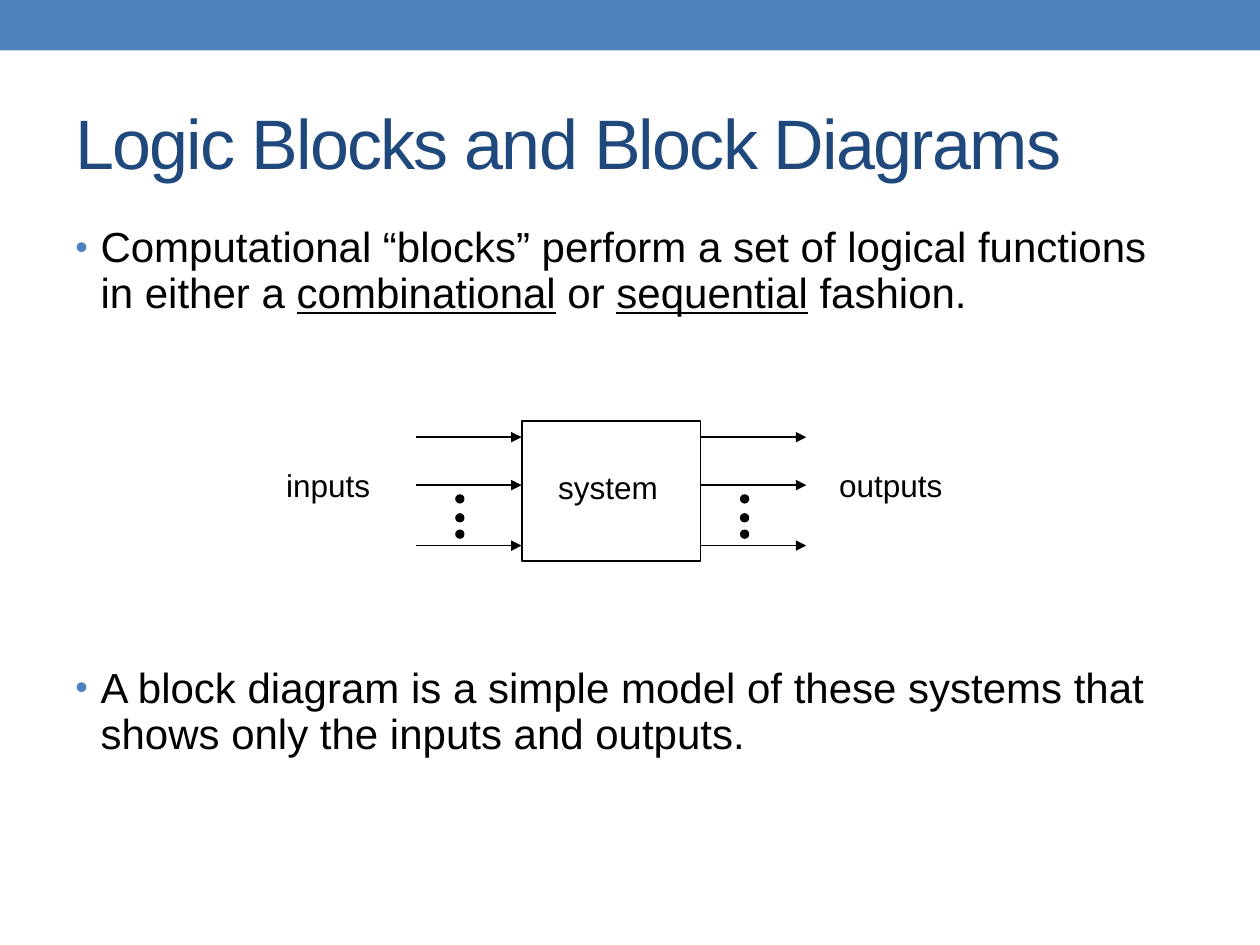
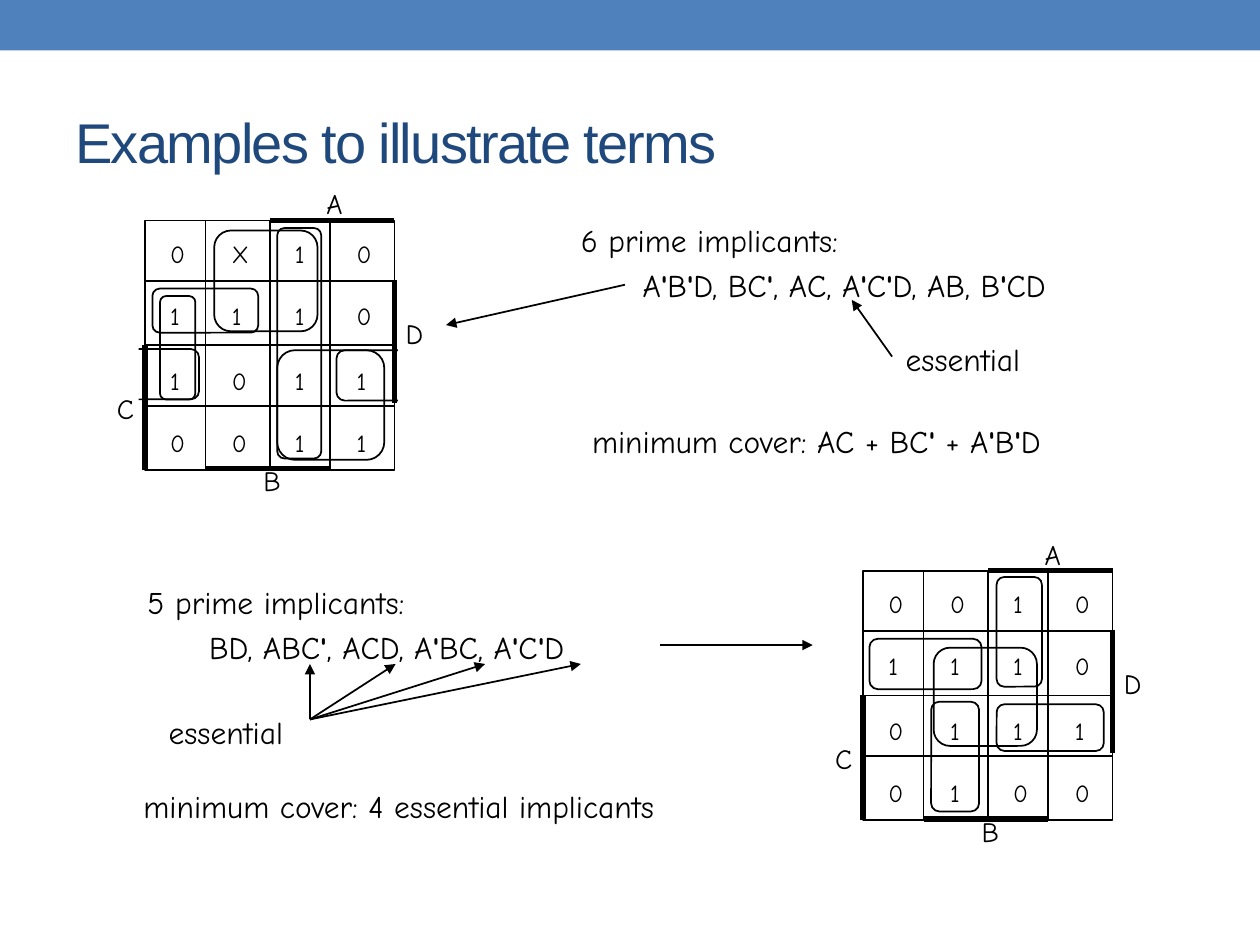
"""Builds two slides on block diagrams and prime implicants."""
from lxml import etree
from pptx import Presentation
from pptx.dml.color import RGBColor
from pptx.enum.shapes import MSO_CONNECTOR, MSO_SHAPE
from pptx.enum.text import MSO_ANCHOR
from pptx.oxml.ns import qn
from pptx.util import Inches, Pt

BLUE = RGBColor(0x4F, 0x81, 0xBD)
NAVY = RGBColor(0x1F, 0x49, 0x7D)
BLACK = RGBColor(0, 0, 0)
WHITE = RGBColor(0xFF, 0xFF, 0xFF)
RECTANGLE = MSO_SHAPE.RECTANGLE
ROUNDED = MSO_SHAPE.ROUNDED_RECTANGLE
OVAL = MSO_SHAPE.OVAL
STRAIGHT = MSO_CONNECTOR.STRAIGHT
MIDDLE = MSO_ANCHOR.MIDDLE
SANS = "Arial"
COMIC = "Comic Neue"
TIGHT = (0.02, 0.03)
ROOMY = (0.1, 0.05)
QUADRANT = 0.99
CELL = 0.48
SPAN = 1.98


def add_text(slide, box, lines, size, font=COMIC, color=BLACK, insets=TIGHT,
             spacing=None, gap=0, indents=(0, 0), tab=None, bullet=None):
    """Add a text box; every second piece between bars is bold (') or underlined."""
    shape = slide.shapes.add_textbox(*map(Inches, box))
    frame = shape.text_frame
    frame.word_wrap = True
    frame.margin_left = frame.margin_right = Inches(insets[0])
    frame.margin_top = frame.margin_bottom = Inches(insets[1])
    for number, line in enumerate(lines):
        paragraph = frame.paragraphs[0] if number == 0 else frame.add_paragraph()
        for position, piece in enumerate(line.split("|")):
            run = paragraph.add_run()
            run.text = piece
            if position % 2:
                if piece == "'":
                    run.font.bold = True
                else:
                    run.font.underline = True
        if spacing:
            paragraph.line_spacing = spacing
        if number and gap:
            paragraph.space_before = Pt(gap)
        properties = paragraph._p.get_or_add_pPr()
        if indents[number % 2]:
            properties.set("marL", str(Inches(indents[number % 2])))
        if bullet:
            properties.set("indent", str(-Inches(indents[0])))
            bullet_color = etree.SubElement(properties, qn("a:buClr"))
            etree.SubElement(bullet_color, qn("a:srgbClr"), val=str(BLUE))
            etree.SubElement(properties, qn("a:buSzPct"), val="85000")
            etree.SubElement(properties, qn("a:buFont"), typeface=SANS)
            etree.SubElement(properties, qn("a:buChar"), char=bullet)
        if tab:
            tabs = etree.SubElement(properties, qn("a:tabLst"))
            etree.SubElement(tabs, qn("a:tab"), pos=str(Inches(tab)), algn="l")
        paragraph.font.size = Pt(size)
        paragraph.font.name = font
        paragraph.font.color.rgb = color
    return shape


def add_line(slide, start, end, width=1, arrow=False):
    """Add a straight black line, with an arrowhead at its end if wanted."""
    connector = slide.shapes.add_connector(STRAIGHT, *map(Inches, start + end))
    connector.line.color.rgb = BLACK
    connector.line.width = Pt(width)
    if arrow:
        etree.SubElement(connector.line._get_or_add_ln(), qn("a:tailEnd"), type="triangle")
    etree.SubElement(connector._element.spPr, qn("a:effectLst"))


presentation = Presentation()
presentation.slide_width = Inches(10)
presentation.slide_height = Inches(7.5)
blank = presentation.slide_layouts[6]
block_slide = presentation.slides.add_slide(blank)
terms_slide = presentation.slides.add_slide(blank)

band = (0, 0, 10, 0.4)
shapes = [
    (block_slide, RECTANGLE, band, BLUE, None),
    (terms_slide, RECTANGLE, band, BLUE, None),
    (block_slide, RECTANGLE, (4.14, 3.34, 1.42, 1.11), WHITE, BLACK),
]
for dot_left in (3.62, 5.88):
    for dot_top in (3.93, 4.08, 4.21):
        shapes.append((block_slide, OVAL, (dot_left, dot_top, 0.06, 0.06), BLACK, BLACK))
wrapped_loops = [
    ((0.97, 2.77, 0.61, 0.4), (0.87, 2.74, 0.23, 0.49)),
    ((2.67, 2.78, 0.61, 0.4), (3.16, 2.75, 0.23, 0.49)),
]
for loop, mask in wrapped_loops:
    shapes.append((terms_slide, ROUNDED, loop, None, BLACK))
    shapes.append((terms_slide, RECTANGLE, mask, WHITE, None))
implicant_loops = [
    (2.2, 2.78, 0.85, 0.87),
    (2.2, 1.81, 0.35, 1.83),
    (1.21, 2.29, 0.84, 0.35),
    (1.7, 1.83, 0.82, 0.8),
    (1.27, 2.35, 0.28, 0.82),
    (7.91, 4.58, 0.36, 0.87),
    (6.9, 5.07, 0.89, 0.4),
    (7.39, 5.57, 0.38, 0.87),
    (7.91, 5.59, 0.85, 0.37),
    (7.41, 5.14, 0.82, 0.78),
]
shapes += [(terms_slide, ROUNDED, loop, None, BLACK) for loop in implicant_loops]

maps = [
    (1.15, 1.75, ["0X10", "1110", "1011", "0011"]),
    (6.85, 4.53, ["0010", "1110", "0111", "0100"]),
]
quadrants = [(row, column) for row in (0, 1) for column in (0, 1)]
for left, top, values in maps:
    for row, column in quadrants:
        box = (left + column * QUADRANT, top + row * QUADRANT, QUADRANT, QUADRANT)
        shapes.append((terms_slide, RECTANGLE, box, None, BLACK))

for slide, kind, box, fill, line in shapes:
    shape = slide.shapes.add_shape(kind, *map(Inches, box))
    shape.shadow.inherit = False
    if fill is None:
        shape.fill.background()
    else:
        shape.fill.solid()
        shape.fill.fore_color.rgb = fill
    if line is None:
        shape.line.fill.background()
    else:
        shape.line.color.rgb = line
        shape.line.width = Pt(1)

titles = [
    (block_slide, "Logic Blocks and Block Diagrams", 40),
    (terms_slide, "Examples to illustrate terms", 32),
]
for slide, title, size in titles:
    shape = add_text(slide, (0.5, 0.58, 9, 1.08), [title], size, SANS, NAVY, ROOMY)
    shape.text_frame.vertical_anchor = MIDDLE
    shape.text_frame.paragraphs[0].runs[0]._r.get_or_add_rPr().set("spc", "-100")

statements = [
    "Computational “blocks” perform a set of logical functions in either a "
    "|combinational| or |sequential| fashion.",
    "A block diagram is a simple model of these systems that shows only the "
    "inputs and outputs.",
]
add_text(block_slide, (0.5, 1.75, 9, 5.33), statements, 24, SANS, insets=ROOMY,
         spacing=0.9, gap=200, indents=(0.2, 0.2), bullet="•")
for arrow_top in (3.47, 3.85, 4.33):
    for arrow_left in (3.3, 5.56):
        add_line(block_slide, (arrow_left, arrow_top), (arrow_left + 0.84, arrow_top), arrow=True)
for label, label_left, label_top in [("inputs", 2.25, 3.68), ("outputs", 6.64, 3.68),
                                     ("system", 4.41, 3.69)]:
    add_text(block_slide, (label_left, label_top, 1.11, 0.45), [label], 18, SANS,
             spacing=Pt(21))

for left, top, values in maps:
    for row, column in quadrants:
        x = left + column * QUADRANT
        y = top + row * QUADRANT
        add_line(terms_slide, (x + CELL, y), (x + CELL, y + QUADRANT))
        add_line(terms_slide, (x, y + CELL), (x + QUADRANT, y + CELL))
        pairs = ["\t".join(line[2 * column:2 * column + 2])
                 for line in values[2 * row:2 * row + 2]]
        add_text(terms_slide, (x + 0.18, top + 0.1 + 1.01 * row, 0.89, 0.88), pairs, 14,
                 spacing=Pt(17.8), gap=17.8, tab=0.49)
    variable_bars = [
        ((QUADRANT, 0), (SPAN, 0)),
        ((SPAN, 0.47), (SPAN, 1.45)),
        ((CELL, SPAN - 0.01), (1.47, SPAN - 0.01)),
        ((0, QUADRANT), (0, SPAN)),
    ]
    for start, end in variable_bars:
        add_line(terms_slide, (left + start[0], top + start[1]),
                 (left + end[0], top + end[1]), 3)
    for variable, x, y in [("A", 1.42, -0.25), ("B", 0.92, 1.95), ("D", 2.05, 0.78)]:
        add_text(terms_slide, (left + x, top + y, 0.63, 0.36), [variable], 16,
                 spacing=Pt(15.8))
    add_text(terms_slide, (left - 0.32, top + 1.31, 0.33, 0.36), ["C"], 16, insets=ROOMY)

implicant_lists = [
    (4.59, 1.67, ["6 prime implicants:",
                  "A|'|B|'|D, BC|'|, AC, A|'|C|'|D, AB, B|'|CD"]),
    (1.15, 4.54, ["5 prime implicants:", "BD, ABC|'|, ACD, A|'|BC, A|'|C|'|D"]),
]
for left, top, lines in implicant_lists:
    add_text(terms_slide, (left, top, 4.82, 0.75), lines, 18, spacing=Pt(25.6),
             indents=(0, 0.49))
notes = [
    (4.6, 3.3, 4.22, "minimum cover: AC + BC|'| + A|'|B|'|D"),
    (7.09, 2.65, 1.23, "essential"),
    (1.04, 6.2, 4.54, "minimum cover: 4 essential implicants"),
    (1.24, 5.61, 1.23, "essential"),
]
for left, top, width, note in notes:
    add_text(terms_slide, (left, top, width, 0.4), [note], 18, insets=ROOMY)

pointers = [
    ((4.96, 2.26), (3.54, 2.58)),
    ((7.08, 2.83), (6.76, 2.38)),
    ((5.24, 5.12), (6.45, 5.12)),
]
pointers += [((2.46, 5.71), (tip, 5.27)) for tip in (2.46, 3.14, 3.85, 4.61)]
for start, end in pointers:
    add_line(terms_slide, start, end, arrow=True)

presentation.save("out.pptx")
